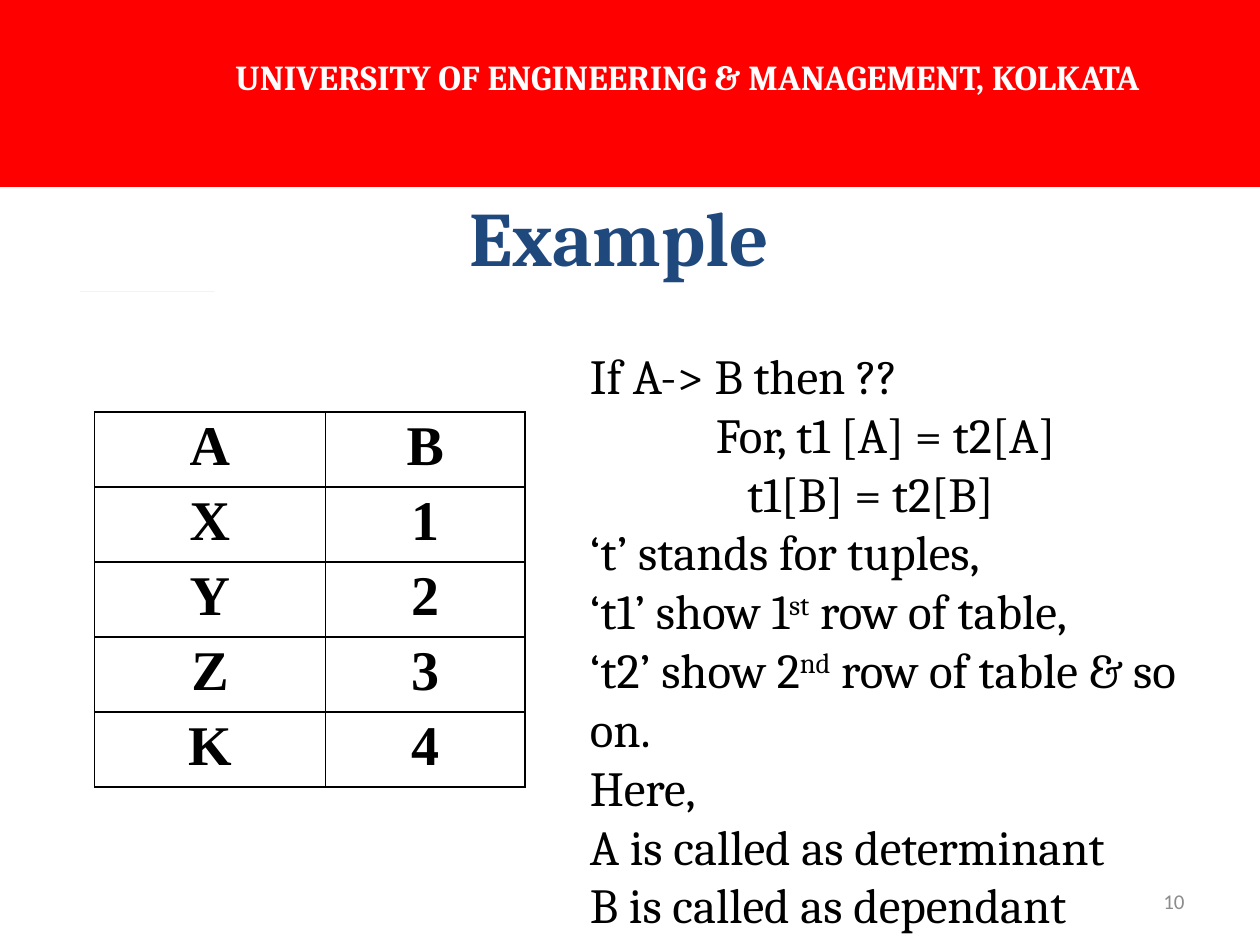
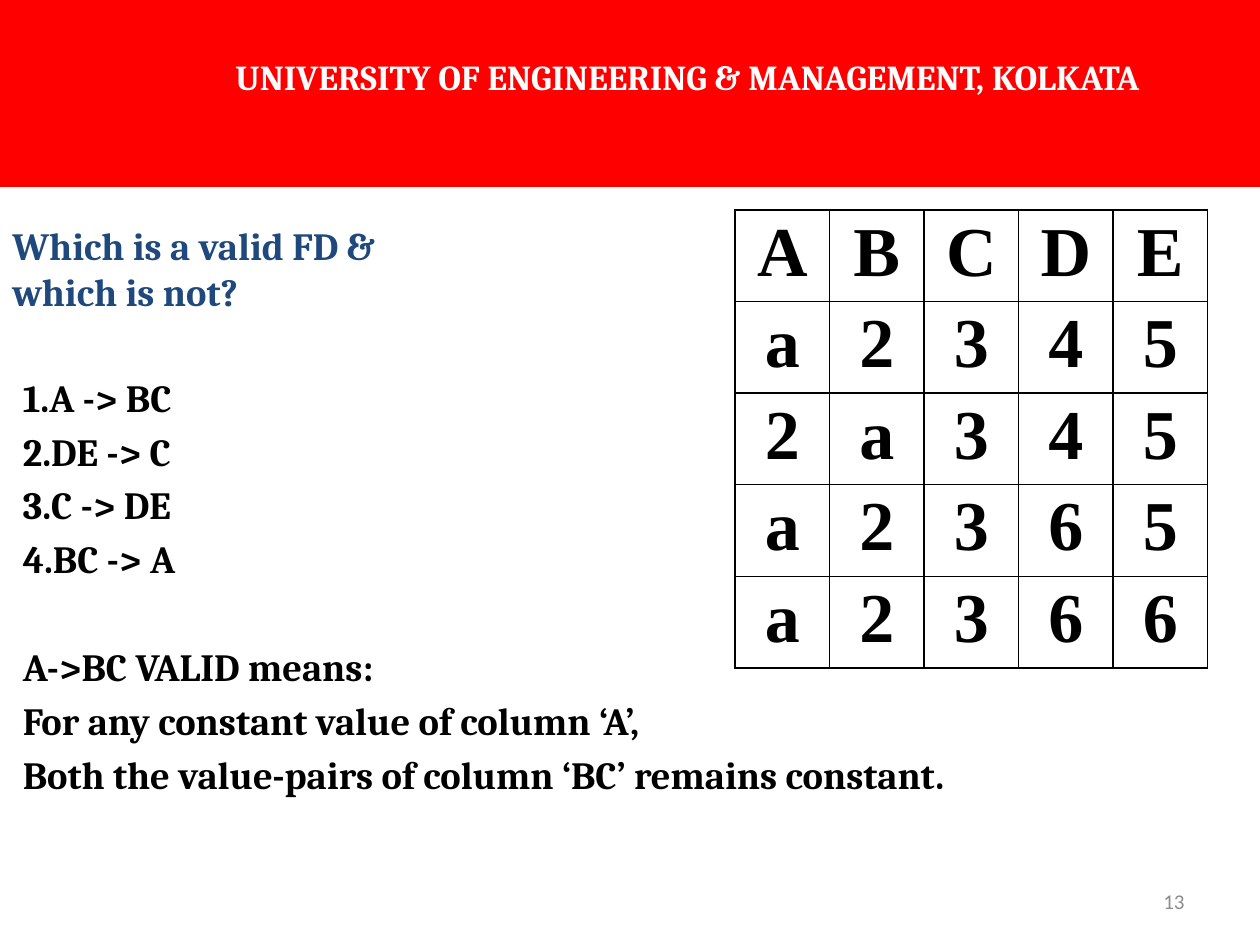
from dataclasses import dataclass
from typing import Optional

from lxml import etree
from pptx import Presentation
from pptx import util as u
from pptx.dml.color import RGBColor
from pptx.enum import shapes, text
from pptx.oxml import ns

# Grid: 120 columns by 90 rows on a 10 x 7.5 inch slide
COLS, ROWS = 120, 90
WIDTH, HEIGHT = u.Inches(10), u.Inches(7.5)

COLORS = {
    "band": "FF0000",
    "band_text": "FFFFFF",
    "title": "1F497D",
    "body": "000000",
    "number": "8C8C8C",
    "accent": "F79646",
}
SERIF, SANS, TABLE_FONT = "Cambria", "Calibri", "Times New Roman"
SCHOOL = "UNIVERSITY OF ENGINEERING & MANAGEMENT, KOLKATA"
ALIGN = text.PP_ALIGN
ANCHOR = text.MSO_ANCHOR


@dataclass(frozen=True)
class Box:
    left: float
    top: float
    width: float
    height: float

    def emu(self) -> tuple:
        return col(self.left), row(self.top), col(self.width), row(self.height)


@dataclass(frozen=True)
class Style:
    size: float
    color: str
    font: str = SERIF
    bold: bool = False
    align: ALIGN = ALIGN.LEFT


@dataclass(frozen=True)
class Line:
    """A paragraph; wording at odd places is superscript."""
    wording: tuple
    indent: float = 0
    before: float = 0
    numbered: bool = False


@dataclass(frozen=True)
class Grid:
    """A bordered table; each string in rows holds one letter per cell."""
    left: float
    top: float
    col_widths: tuple
    row_height: float
    rows: tuple
    size: float


def col(n: float) -> int:
    return round(WIDTH * n / COLS)


def row(n: float) -> int:
    return round(HEIGHT * n / ROWS)


def rgb(name: str) -> RGBColor:
    return RGBColor.from_string(COLORS[name])


def style_paragraph(p, style: Style) -> None:
    p.alignment = style.align
    for r in p.runs:
        r.font.size = u.Pt(style.size)
        r.font.name = style.font
        r.font.bold = style.bold
        r.font.color.rgb = rgb(style.color)


def add_text(slide, box: Box, lines: list, style: Style, anchor=ANCHOR.TOP) -> None:
    tf = slide.shapes.add_textbox(*box.emu()).text_frame
    tf.word_wrap = True
    tf.vertical_anchor = anchor
    for i, line in enumerate(lines):
        p = tf.paragraphs[0] if i == 0 else tf.add_paragraph()
        p.space_before = u.Pt(line.before)
        pPr = p._p.get_or_add_pPr()
        pPr.set("marL", str(col(line.indent)))
        pPr.set("indent", "0")
        if line.numbered:
            etree.SubElement(pPr, ns.qn("a:buAutoNum"), type="arabicPeriod")
        for k, words in enumerate(line.wording):
            r = p.add_run()
            r.text = words
            if k % 2:
                r.font._element.set("baseline", "30000")
        style_paragraph(p, style)


def set_borders(cell, color: Optional[str]) -> None:
    tcPr = cell._tc.get_or_add_tcPr()
    for i, side in enumerate(("lnL", "lnR", "lnT", "lnB")):
        ln = etree.Element(ns.qn(f"a:{side}"), w=str(u.Pt(1)))
        if color:
            fill = etree.SubElement(ln, ns.qn("a:solidFill"))
            etree.SubElement(fill, ns.qn("a:srgbClr"), val=COLORS[color])
        else:
            etree.SubElement(ln, ns.qn("a:noFill"))
        tcPr.insert(i, ln)


def new_table(slide, left: float, top: float, widths: tuple, heights: tuple):
    box = Box(left, top, sum(widths), sum(heights))
    table = slide.shapes.add_table(len(heights), len(widths), *box.emu()).table
    table.first_row = table.horz_banding = False
    for column, width in zip(table.columns, widths):
        column.width = col(width)
    for table_row, height in zip(table.rows, heights):
        table_row.height = row(height)
    return table


def add_grid(slide, grid: Grid) -> None:
    heights = (grid.row_height,) * len(grid.rows)
    table = new_table(slide, grid.left, grid.top, grid.col_widths, heights)
    style = Style(grid.size, "body", TABLE_FONT, True, ALIGN.CENTER)
    for cell, letter in zip(table.iter_cells(), "".join(grid.rows)):
        cell.text_frame.text = letter
        cell.margin_top = cell.margin_bottom = row(0.36)
        cell.fill.background()
        set_borders(cell, "body")
        style_paragraph(cell.text_frame.paragraphs[0], style)


def add_band(slide) -> None:
    table = new_table(slide, 0, 0, (14, 103, 3), (5, 6.8, 6))
    for cell in table.iter_cells():
        cell.fill.solid()
        cell.fill.fore_color.rgb = rgb("band")
        set_borders(cell, None)
    for first, last in (((0, 0), (0, 1)), ((1, 0), (2, 0)), ((2, 1), (2, 2))):
        table.cell(*first).merge(table.cell(*last))
    tf = table.cell(1, 1).text_frame
    tf.text = SCHOOL
    style_paragraph(tf.paragraphs[0], Style(20, "band_text", bold=True, align=ALIGN.CENTER))


def new_slide(prs, number: int):
    """A blank slide with the accent line, red band and page number."""
    slide = prs.slides.add_slide(prs.slide_layouts[6])
    sp = slide.shapes.add_shape(shapes.MSO_SHAPE.RECTANGLE, *Box(7.6, 27.8, 12.8, 0).emu())
    sp.shadow.inherit = False
    sp.fill.solid()
    sp.fill.fore_color.rgb = rgb("accent")
    sp.line.fill.background()
    add_band(slide)
    add_text(slide, Box(86, 83.4, 28, 4.8), [Line((str(number),))],
             Style(12, "number", SANS, align=ALIGN.RIGHT), ANCHOR.MIDDLE)
    return slide


def example_slide(prs) -> None:
    slide = new_slide(prs, 10)
    add_text(slide, Box(5, 14.9, 108, 15), [Line(("Example",))],
             Style(44, "title", bold=True, align=ALIGN.CENTER), ANCHOR.MIDDLE)
    add_grid(slide, Grid(9, 39.24, (22, 19), 7.14, ("AB", "X1", "Y2", "Z3", "K4"), 32))
    explanation = [
        Line(("If A-> B then ??",)),
        Line(("For, t1 [A] = t2[A]",), indent=12),
        Line(("t1[B] = t2[B]",), indent=15),
        Line(("‘t’ stands for tuples,",)),
        Line(("‘t1’ show 1", "st", " row of table,")),
        Line(("‘t2’ show 2", "nd", " row of table & so on.")),
        Line(("Here,",)),
        Line(("A is called as determinant",)),
        Line(("B is called as dependant",)),
    ]
    add_text(slide, Box(55, 32.3, 61, 57.7), explanation, Style(28, "body"))


def valid_fd_slide(prs) -> None:
    slide = new_slide(prs, 13)
    question = [Line(("Which is a valid FD &",)), Line(("which is not?",))]
    add_text(slide, Box(0, 18, 63, 15), question,
             Style(22, "title", bold=True), ANCHOR.MIDDLE)
    gap, section_gap = 4.4, 35.3
    dependencies = ("A -> BC", "DE -> C", "C -> DE", "BC -> A")
    lines = [Line((d,), before=gap if i else 0, numbered=True)
             for i, d in enumerate(dependencies)]
    lines += [
        Line(("A->BC VALID means:",), before=section_gap),
        Line(("For any constant value of column ‘A’,",), before=gap),
        Line(("Both the value-pairs of column ‘BC’ remains constant.",), before=gap),
    ]
    add_text(slide, Box(1, 35, 114, 52), lines, Style(22, "body", bold=True))
    add_grid(slide, Grid(70, 20, (9,) * 5, 8.58,
                         ("ABCDE", "a2345", "2a345", "a2365", "a2366"), 40))


def main() -> None:
    prs = Presentation()
    prs.slide_width, prs.slide_height = WIDTH, HEIGHT
    example_slide(prs)
    valid_fd_slide(prs)
    prs.save("out.pptx")


if __name__ == "__main__":
    main()
